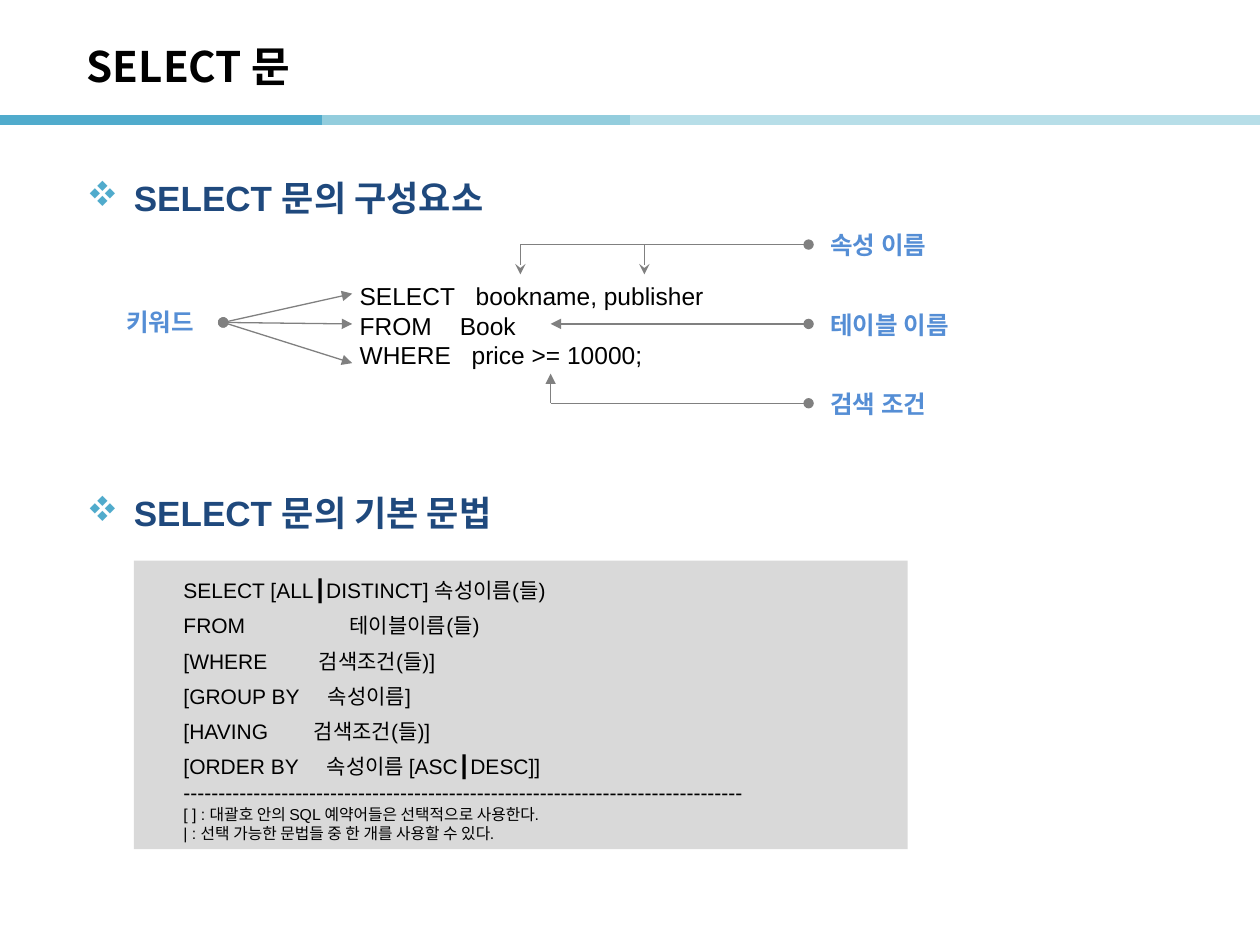
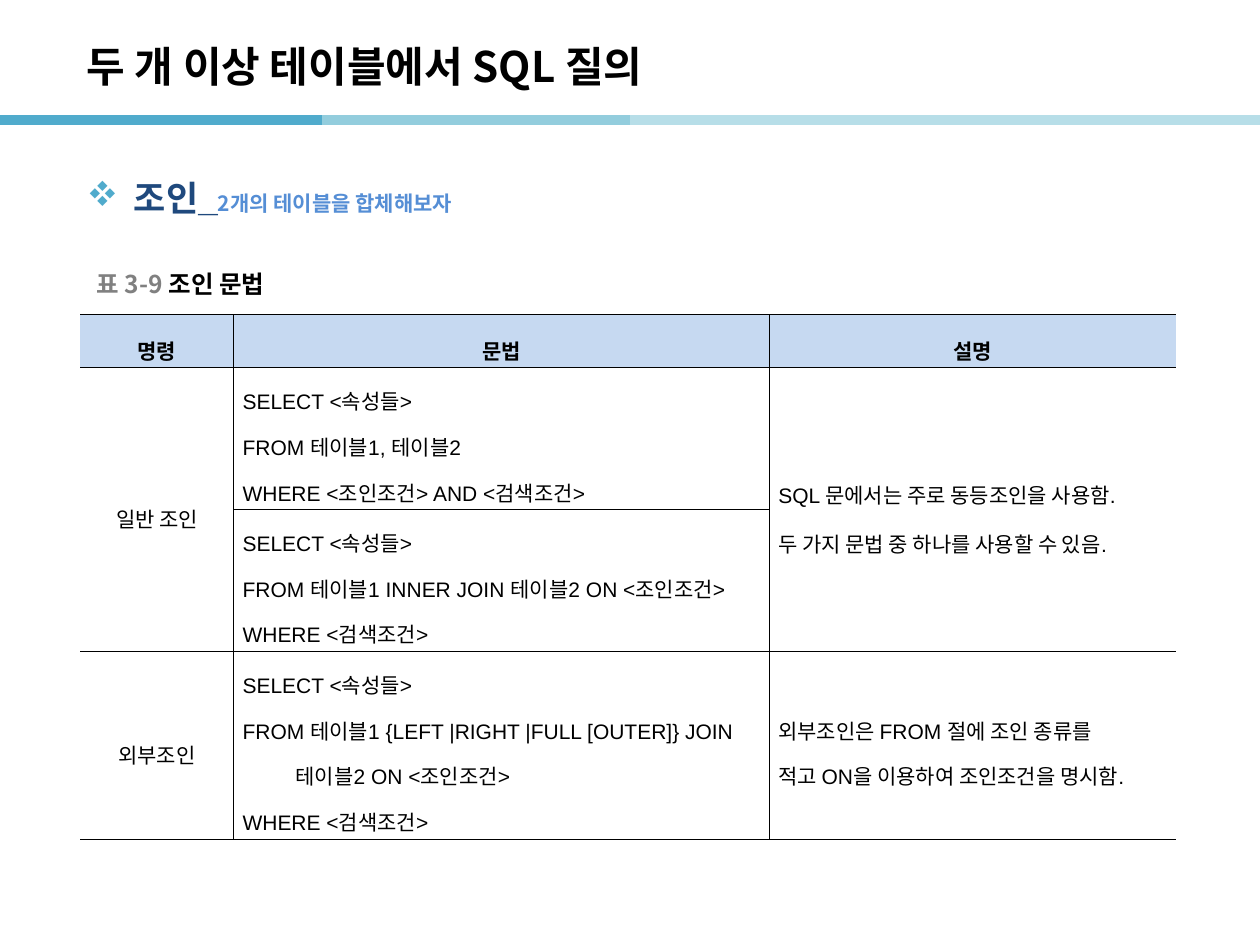
from lxml.etree import SubElement
from pptx import Presentation
from pptx.dml.color import RGBColor
from pptx.enum.shapes import MSO_CONNECTOR, MSO_SHAPE
from pptx.enum.text import MSO_ANCHOR as ANCHOR, PP_ALIGN as ALIGN
from pptx.oxml.ns import qn
from pptx.util import Cm, Pt

COLORS = {
    "title": "000000", "text": "000000", "heading": "1F497D", "label": "558ED5",
    "accent": "50ABCC", "band_mid": "93CDDD", "band_light": "B7DEE8",
    "arrow": "808080", "caption": "808080", "code_box": "D9D9D9",
    "table_head": "C6D9F1", "border": "000000",
}
LATIN, KOREAN = "Arial", "Noto Sans CJK KR"
HEADING_BOX = (1.5, 3.02, 22.4, 1.68)


def rgb(name):
    return RGBColor.from_string(COLORS[name])


def style_run(r, size, color="text", bold=False, font=LATIN):
    r.font.size = Pt(size)
    r.font.bold = bold
    r.font.name = font
    r.font.color.rgb = rgb(color)
    rPr = r._r.get_or_add_rPr()
    rPr.set("kern", "0")
    SubElement(rPr, qn("a:ea"), typeface=KOREAN)


def add_styled_run(p, text, *style):
    r = p.add_run()
    r.text = text
    style_run(r, *style)


def set_lines(tf, lines, size, spacing=1.0, align=ALIGN.LEFT, bold=False):
    """Fill a text frame; a line is a string, or a (text, tab stop in cm) pair."""
    for i, line in enumerate(lines):
        text, tab = line if isinstance(line, tuple) else (line, None)
        p = tf.paragraphs[0] if i == 0 else tf.add_paragraph()
        p.text = text
        p.alignment = align
        p.line_spacing = spacing
        if tab:
            tabs = SubElement(p._p.get_or_add_pPr(), qn("a:tabLst"))
            SubElement(tabs, qn("a:tab"), pos=str(Cm(tab)), algn="l")
        for r in p.runs:
            style_run(r, size, bold=bold)


def add_text_box(slide, x, y, w, h, anchor=ANCHOR.TOP):
    sp = slide.shapes.add_textbox(Cm(x), Cm(y), Cm(w), Cm(h))
    sp.text_frame.word_wrap = True
    sp.text_frame.vertical_anchor = anchor
    return sp


def add_line(slide, start, end, color="arrow", width=0.75, head=None, tail=None):
    """Draw a straight line; head is the marker at start, tail the one at end."""
    cx = slide.shapes.add_connector(
        MSO_CONNECTOR.STRAIGHT, *(Cm(v) for v in (*start, *end)))
    cx.line.color.rgb = rgb(color)
    cx.line.width = Pt(width)
    ln = cx.line._get_or_add_ln()
    for tag, kind in (("a:headEnd", head), ("a:tailEnd", tail)):
        if kind:
            SubElement(ln, qn(tag), type=kind)
    SubElement(cx._element.spPr, qn("a:effectLst"))
    return cx


def add_base_slide(prs, title):
    """Add a blank slide with the title and the coloured band under it."""
    slide = prs.slides.add_slide(prs.slide_layouts[6])
    bands = ((0, "accent"), (6.5, "band_mid"), (12.7, "band_light"), (18.9, "band_light"))
    for x, color in bands:
        add_line(slide, (x, 2.42), (x + 6.5, 2.42), color, 6)
    sp = add_text_box(slide, 1.5, 0.56, 21, 1.52, ANCHOR.MIDDLE)
    add_styled_run(sp.text_frame.paragraphs[0], title, 24, "title", True, KOREAN)
    return slide


def add_heading(slide, text, note="", drop=0):
    x, y, w, h = HEADING_BOX
    p = add_text_box(slide, x, y + drop, w, h).text_frame.paragraphs[0]
    p.line_spacing = 1.5
    pPr = p._p.get_or_add_pPr()
    pPr.set("marL", str(Cm(0.95)))
    pPr.set("indent", str(Cm(-0.95)))
    SubElement(SubElement(pPr, qn("a:buClr")), qn("a:srgbClr"), val=COLORS["accent"])
    SubElement(pPr, qn("a:buFont"), typeface="Wingdings", charset="2")
    SubElement(pPr, qn("a:buChar"), char="v")
    add_styled_run(p, text, 20, "heading", True)
    if note:
        add_styled_run(p, note, 12, "label", True, KOREAN)


def add_label(slide, text, x, y, w):
    sp = add_text_box(slide, x, y, w, 0.86)
    add_styled_run(sp.text_frame.paragraphs[0], text, 14, "label", True, KOREAN)
    return sp


def add_select_diagram(slide):
    example = add_text_box(slide, 7, 5.55, 12.7, 2.06)
    set_lines(example.text_frame, [
        ("SELECT\tbookname, publisher", 2.34),
        ("FROM\tBook", 2.02),
        ("WHERE\tprice >= 10000;", 2.26),
    ], 14)

    keyword = add_label(slide, "키워드", 2.3, 6.07, 2.2)
    for y in (6.53, 5.92, 7.32):
        cx = add_line(slide, (4.5, 6.5), (7.1, y), head="oval", tail="triangle")
        cx.begin_connect(keyword, 3)

    top, step = 4.93, 1.6
    callouts = (("속성 이름", 10.49, None), ("테이블 이름", 11.1, "triangle"),
                ("검색 조건", 11.1, None))
    for i, (text, x, head) in enumerate(callouts):
        y = top + i * step
        add_line(slide, (x, y), (16.3, y), head=head, tail="oval")
        add_label(slide, text, 16.49, y - 0.41, 3.4)
    for x in (10.49, 12.99):
        add_line(slide, (x, top), (x, top + 0.6), tail="stealth")
    bottom = top + 2 * step
    add_line(slide, (11.1, bottom), (11.1, bottom - 0.6), tail="triangle")


def add_syntax_box(slide):
    sp = slide.shapes.add_shape(
        MSO_SHAPE.RECTANGLE, Cm(2.7), Cm(11.3), Cm(15.6), Cm(5.82))
    sp.shadow.inherit = False
    sp.fill.solid()
    sp.fill.fore_color.rgb = rgb("code_box")
    sp.line.fill.background()
    tf = sp.text_frame
    tf.word_wrap = True
    tf.vertical_anchor = ANCHOR.MIDDLE
    tf.margin_left = Cm(1)
    syntax = [
        "SELECT [ALL┃DISTINCT] 속성이름(들)",
        ("FROM\t테이블이름(들)", 3.35),
        ("[WHERE\t검색조건(들)]", 2.73),
        ("[GROUP BY\t속성이름]", 2.91),
        ("[HAVING\t검색조건(들)]", 2.63),
        ("[ORDER BY\t속성이름 [ASC┃DESC]]", 2.89),
    ]
    notes = [
        "-" * 80,
        "[ ] : 대괄호 안의 SQL 예약어들은 선택적으로 사용한다.",
        "| : 선택 가능한 문법들 중 한 개를 사용할 수 있다.",
    ]
    set_lines(tf, syntax + notes, 12, 1.4)
    for p in tf.paragraphs[len(syntax):]:
        p.line_spacing = 1.0
    for p in tf.paragraphs[-2:]:
        p.runs[0].font.size = Pt(9)


def set_borders(cell, sides):
    """Line the named sides (L, R, T, B) of a cell and clear the others."""
    tcPr = cell._tc.get_or_add_tcPr()
    for side in "LRTB":
        ln = SubElement(tcPr, qn(f"a:ln{side}"), w=str(Pt(0.28)))
        if side in sides:
            fill = SubElement(ln, qn("a:solidFill"))
            SubElement(fill, qn("a:srgbClr"), val=COLORS["border"])
        else:
            SubElement(ln, qn("a:noFill"))


def add_join_table(slide):
    widths, heights = (3.09, 10.8, 8.2), (1.07, 2.86, 2.86, 3.79)
    table = slide.shapes.add_table(
        len(heights), len(widths), Cm(1.62), Cm(6.34),
        Cm(sum(widths)), Cm(sum(heights))).table
    table.horz_banding = False
    for col, w in zip(table.columns, widths):
        col.width = Cm(w)
    for row, h in zip(table.rows, heights):
        row.height = Cm(h)

    for r, row in enumerate(table.rows):
        for cell, sides in zip(row.cells, ("RTB", "LRTB", "LTB")):
            set_borders(cell, sides)
            cell.vertical_anchor = ANCHOR.MIDDLE
            cell.margin_left = cell.margin_right = Cm(0.18)
            cell.margin_top = cell.margin_bottom = Cm(0.05)
            if r == 0:
                cell.fill.solid()
                cell.fill.fore_color.rgb = rgb("table_head")
            else:
                cell.fill.background()
    for c in (0, 2):
        table.cell(1, c).merge(table.cell(2, c))

    for c, text in enumerate(("명령", "문법", "설명")):
        set_lines(table.cell(0, c).text_frame, [text], 12, 1.6, ALIGN.CENTER, True)
    for r, text in ((1, "일반 조인"), (3, "외부조인")):
        set_lines(table.cell(r, 0).text_frame, [text], 12, 1.6, ALIGN.CENTER)
    syntaxes = (
        ["FROM 테이블1, 테이블2", "WHERE <조인조건> AND <검색조건>"],
        ["FROM 테이블1 INNER JOIN 테이블2 ON <조인조건>", "WHERE <검색조건>"],
        ["FROM 테이블1 {LEFT |RIGHT |FULL [OUTER]} JOIN",
         ("\t테이블2 ON <조인조건>", 1.07), "WHERE <검색조건>"],
    )
    for r, lines in enumerate(syntaxes, 1):
        set_lines(table.cell(r, 1).text_frame, ["SELECT <속성들>"] + lines, 12, 1.5)
    set_lines(table.cell(1, 2).text_frame, [
        "SQL 문에서는 주로 동등조인을 사용함.",
        "두 가지 문법 중 하나를 사용할 수 있음."], 12, 1.6, ALIGN.JUSTIFY)
    set_lines(table.cell(3, 2).text_frame, [
        "외부조인은 FROM 절에 조인 종류를",
        "적고 ON을 이용하여 조인조건을 명시함."], 12, 1.5)


def add_caption(slide, number, text):
    sp = add_text_box(slide, 1.7, 5.33, 5.3, 0.79, ANCHOR.MIDDLE)
    p = sp.text_frame.paragraphs[0]
    add_styled_run(p, number + " ", 14, "caption", True, KOREAN)
    add_styled_run(p, text, 14, "text", True, KOREAN)


def main():
    prs = Presentation()
    prs.slide_width, prs.slide_height = Cm(25.4), Cm(19.05)

    slide = add_base_slide(prs, "SELECT 문")
    add_heading(slide, "SELECT 문의 구성요소")
    add_heading(slide, "SELECT 문의 기본 문법", drop=6.35)
    add_syntax_box(slide)
    add_select_diagram(slide)

    slide = add_base_slide(prs, "두 개 이상 테이블에서 SQL 질의")
    add_join_table(slide)
    add_caption(slide, "표 3-9", "조인 문법")
    add_heading(slide, "조인_", "2개의 테이블을 합체해보자")

    prs.save("out.pptx")


if __name__ == "__main__":
    main()
